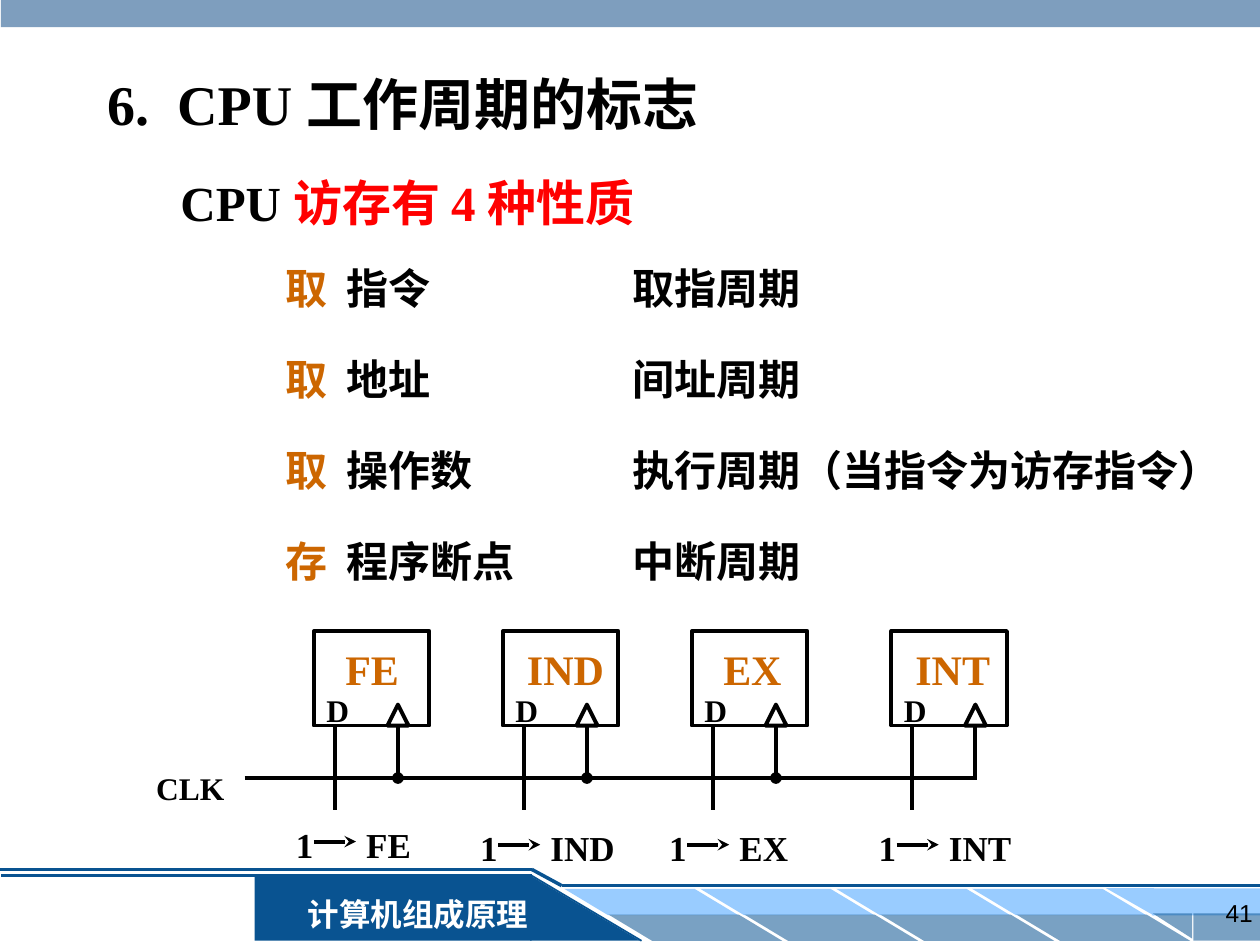
import pptx
import pptx.util
import pptx.dml.color
import pptx.enum.shapes
import pptx.enum.text
import pptx.oxml.ns
import lxml.etree

COLORS = {"black": "000000", "white": "FFFFFF", "red": "FF0000", "orange": "CC6600",
          "navy": "095391", "sky": "99CCFF", "steel": "336699"}
Pt = pptx.util.Pt
qn = pptx.oxml.ns.qn
MSO = pptx.enum.shapes.MSO_SHAPE
ALIGN = pptx.enum.text.PP_ALIGN
ANCHOR = pptx.enum.text.MSO_ANCHOR

deck = pptx.Presentation()
deck.slide_width, deck.slide_height = pptx.util.Inches(10), pptx.util.Inches(7.5)
CELL = deck.slide_width / 120  # the slide is a grid of 120 columns by 90 rows
slide = deck.slides.add_slide(deck.slide_layouts[3])


def block(preset, col, row, cols, rows, fill=None, alpha=None, flip=()):
    """Preset shape: filled without outline, or outlined in black without fill."""
    shape = slide.shapes.add_shape(preset, *(round(v * CELL) for v in (col, row, cols, rows)))
    shape.shadow.inherit = False
    if fill:
        shape.fill.solid()
        shape.fill.fore_color.rgb = pptx.dml.color.RGBColor.from_string(COLORS[fill])
        shape.line.fill.background()
    else:
        shape.fill.background()
        shape.line.color.rgb = pptx.dml.color.RGBColor.from_string(COLORS["black"])
        shape.line.width = Pt(2.25)
    if alpha:
        color = shape.fill._xPr.find(qn("a:solidFill"))[0]
        lxml.etree.SubElement(color, qn("a:alpha"), val=str(alpha * 1000))
    for axis in flip:
        shape._element.spPr.find(qn("a:xfrm")).set("flip" + axis, "1")
    return shape


def wire(start, end, color="black", width=2.25, tail=None):
    """Straight line between two grid points, with an optional end mark."""
    line = slide.shapes.add_connector(pptx.enum.shapes.MSO_CONNECTOR.STRAIGHT,
                                      *(round(v * CELL) for v in (*start, *end)))
    line.line.color.rgb = pptx.dml.color.RGBColor.from_string(COLORS[color])
    line.line.width = Pt(width)
    if tail:
        lxml.etree.SubElement(line.line._get_or_add_ln(), qn("a:tailEnd"), type=tail)
    lxml.etree.SubElement(line._element.spPr, qn("a:effectLst"))


# Top band and footer decoration
block(MSO.RECTANGLE, 0.1, -0.4, 120, 3, "steel", 63)
block(MSO.RECTANGLE, 24.25, 83.4, 26.4, 6.2, "navy")
wire((61.1, 89.6), (50.65, 83.4), "navy", 1)
wire((50.65, 83.4), (0.1, 83.4), "navy", 1.5)
wire((-0.1, 82.8), (50.65, 82.8), "navy", 2)
for i in range(4):
    for col, row, fill, alpha in ((53.75, 84.65, "sky", None), (57.95, 87.1, "navy", 54)):
        stripe = block(MSO.PARALLELOGRAM, col + 12.95 * i, row, 16.55, 2.5, fill, alpha, "H")
        stripe.adjustments[0] = 1.66
block(MSO.RECTANGLE, 109.7, 84.6, 10.3, 2.6, "sky")
block(MSO.RIGHT_TRIANGLE, 105.35, 84.6, 4.55, 2.6, "sky", flip="HV")
block(MSO.RECTANGLE, 113.65, 87, 6.45, 2.6, "navy", 54)
block(MSO.RIGHT_TRIANGLE, 109.8, 87, 3.75, 2.4, "navy", 54, "HV")
wire((53.5, 84.35), (120.1, 84.35), "navy", 2)
course = block(MSO.RECTANGLE, 27.5, 84.6, 24.6, 4.8, "navy")
block(MSO.RIGHT_TRIANGLE, 50.5, 83.4, 10.45, 6.2, "navy")
wire((50.65, 82.8), (53.5, 84.35), "navy", 2)

# Title and the two lists: kinds of access and their cycles
accesses = [("取", "指令"), ("取", "地址"), ("取", "操作数"), ("存", "程序断点")]
cycles = ["取指周期", "间址周期", "执行周期（当指令为访存指令）", "中断周期"]
title, access_list, cycle_list = slide.placeholders
for holder, place in ((title, (9, 6, 75, 7.7)), (access_list, (26, 24, 29, 32)),
                      (cycle_list, (59, 24, 61, 32))):
    holder.left, holder.top, holder.width, holder.height = (round(v * CELL) for v in place)

# Each text: frame, paragraphs of (wording, colour) parts, size, alignment
texts = [
    (title.text_frame, [[("6.  CPU 工作周期的标志", "black")]], 32, ALIGN.LEFT),
    (access_list.text_frame, [[(verb, "orange"), ("  " + thing, "black")]
                              for verb, thing in accesses], 24, ALIGN.LEFT),
    (cycle_list.text_frame, [[(cycle, "black")] for cycle in cycles], 24, ALIGN.LEFT),
    (course.text_frame, [[("计算机组成原理", "white")]], 18, ALIGN.CENTER),
]

# Labels: column, row, columns, rows, parts, size, alignment
labels = [
    (16, 15.85, 70, 6.85, [("CPU ", "black"), ("访存有 4 种性质", "red")], 28, ALIGN.LEFT),
    (92.5, 83.8, 28, 6.2, [("41", "black")], 14, ALIGN.RIGHT),
    (13.7, 72.6, 8.9, 4.8, [("CLK", "black")], 18, ALIGN.LEFT),
]

# Flip-flops on the common clock line
BOX_TOP, BOX_BOTTOM, CLOCK = 60.1, 69.1, 74.1
wire((23.3, CLOCK), (93, CLOCK))
# name, box column, offset of the name, offset and row of the assignment
flip_flops = [("FE", 29.9, 1.8, -2.9, 77.8), ("IND", 47.9, 1.1, -3.35, 78.1),
              ("EX", 65.9, 1.8, -3.35, 78.1), ("INT", 84.9, 1.1, -2.4, 78.1)]
for name, col, inset, shift, row in flip_flops:
    block(MSO.RECTANGLE, col, BOX_TOP, 11, BOX_BOTTOM - BOX_TOP)
    block(MSO.ISOSCELES_TRIANGLE, col + 7, BOX_BOTTOM - 2, 2, 2)
    wire((col + 2, BOX_BOTTOM), (col + 2, BOX_BOTTOM + 8))
    wire((col + 8, BOX_BOTTOM), (col + 8, CLOCK), tail=None if name == "INT" else "oval")
    one = col + shift
    wire((one + 2.9, row + 2.35), (one + 6.9, row + 2.35), tail="stealth")
    labels += [(col + inset, 60.7, 10, 6, [(name, "orange")], 24, ALIGN.LEFT),
               (col, 65.2, 4.6, 4.8, [("D", "black")], 18, ALIGN.LEFT),
               (one, row, 4.1, 5.3, [("1", "black")], 20, ALIGN.LEFT),
               (one + 6.7, row, 8.6, 5.3, [(name, "black")], 20, ALIGN.LEFT)]

for *place, parts, size, align in labels:
    label = slide.shapes.add_textbox(*(round(v * CELL) for v in place))
    texts.append((label.text_frame, [parts], size, align))

# Write and format every text
for frame, paragraphs, size, align in texts:
    frame.word_wrap = True
    frame.auto_size = pptx.enum.text.MSO_AUTO_SIZE.NONE
    in_list = len(paragraphs) > 1
    frame.vertical_anchor = ANCHOR.TOP if in_list else ANCHOR.MIDDLE
    frame.text = "\n".join("" for _ in paragraphs)
    for number, (paragraph, parts) in enumerate(zip(frame.paragraphs, paragraphs)):
        paragraph.alignment = align
        if in_list:
            properties = paragraph._p.get_or_add_pPr()
            properties.set("marL", "0")
            properties.set("indent", "0")
            lxml.etree.SubElement(properties, qn("a:buNone"))
            paragraph.line_spacing = Pt(31)
            paragraph.space_before = Pt(21 if number else 0)
        for wording, color in parts:
            run = paragraph.add_run()
            run.text = wording
            run.font.size = Pt(size)
            run.font.bold = wording != "41"
            run.font.name = "Arial" if wording == "41" else "Times New Roman"
            run.font.color.rgb = pptx.dml.color.RGBColor.from_string(COLORS[color])

deck.save("out.pptx")
